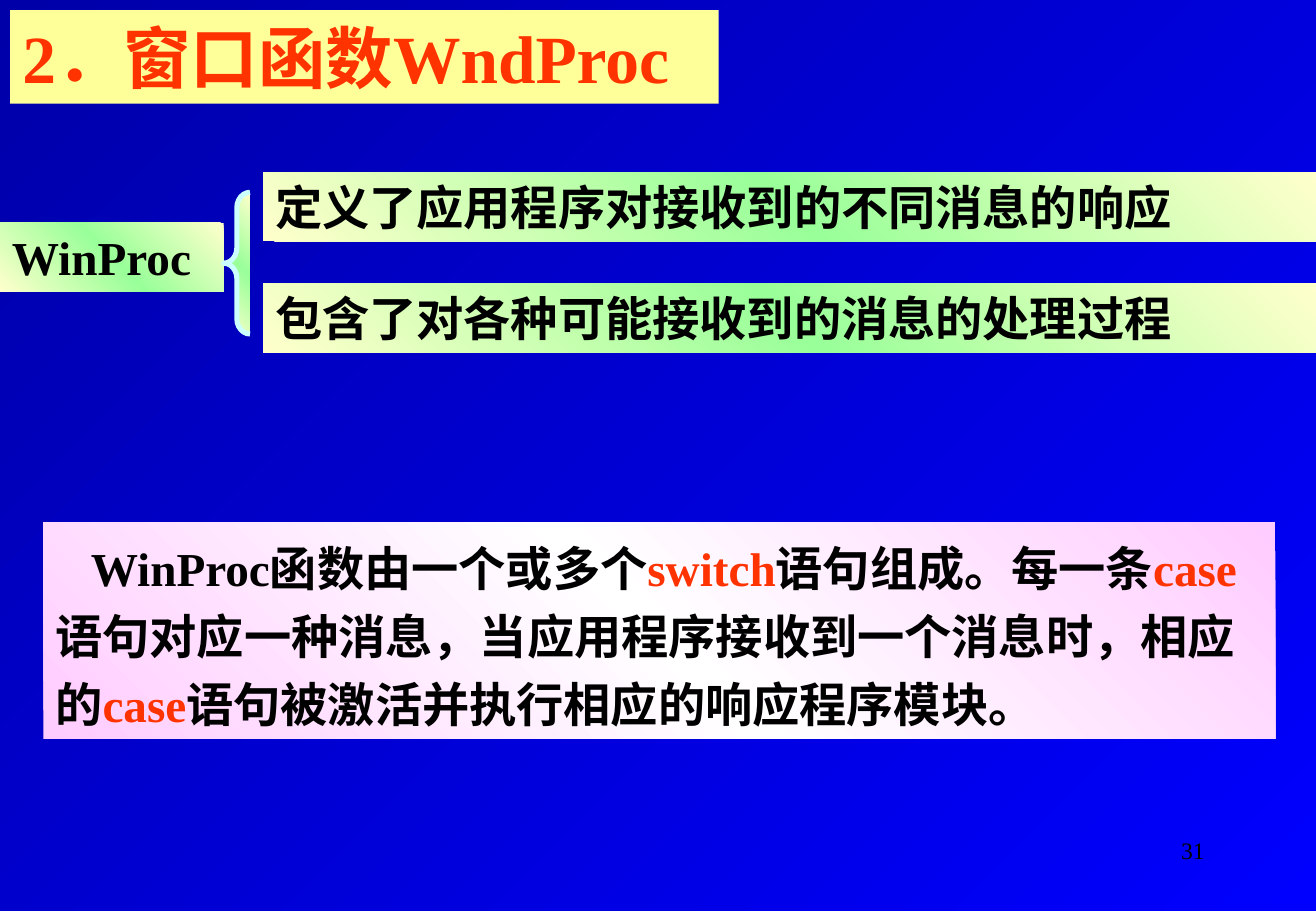
from copy import deepcopy
from dataclasses import dataclass

from pptx import Presentation
from pptx.dml.color import RGBColor
from pptx.dml.fill import FillFormat
from pptx.enum.shapes import MSO_SHAPE
from pptx.enum.text import MSO_ANCHOR, MSO_AUTO_SIZE, PP_ALIGN
from pptx.oxml.xmlchemy import BaseOxmlElement
from pptx.shapes.autoshape import Shape
from pptx.slide import Slide
from pptx.text.text import TextFrame
from pptx.util import Inches, Length, Pt

RECT, BRACE = MSO_SHAPE.RECTANGLE, MSO_SHAPE.LEFT_BRACE
TOP = MSO_ANCHOR.TOP
NO_FIT = MSO_AUTO_SIZE.NONE
LEFT, RIGHT = PP_ALIGN.LEFT, PP_ALIGN.RIGHT
COLUMNS, ROWS = 130, 90
TITLE_ONLY = 5


@dataclass(frozen=True)
class Theme:
    font: str = "Times New Roman"
    title_size: int = 40
    body_size: int = 28
    number_size: int = 14
    ink: str = "000000"
    accent: str = "FF3300"
    title_fill: str = "FFFF99"
    brace_line: str = "CCFFFF"
    backdrop: tuple[str, ...] = ("0000A9", "0000FF")
    green: tuple[str, ...] = ("FFFFCC", "99FF99", "FFFFCC")
    pink: tuple[str, ...] = ("FFCCFF", "FFFFFF", "FFCCFF")


@dataclass(frozen=True)
class Box:
    col: float
    row: float
    cols: float
    rows: float


@dataclass(frozen=True)
class Panel:
    box: Box
    colors: tuple[str, ...]
    runs: tuple[str, ...]
    spacing: float = 1.0
    indent: float = 0


THEME = Theme()
KEYWORDS = ("switch", "case")
TITLE_BOX = Box(1, 1, 70, 9.25)
BRACE_BOX = Box(22.1, 19, 2.6, 14)
NUMBER_BOX = Box(93.1, 82, 27.1, 6)
BAR_COL, BAR_ROW, BAR_STEP, BAR_ROWS = 26, 17, 11, 6.85
ROLES = ("定义了应用程序对接收到的不同消息的响应", "包含了对各种可能接收到的消息的处理过程")
SUMMARY = (
    "WinProc函数由一个或多个", "switch", "语句组成。每一条", "case",
    "语句对应一种消息，当应用程序接收到一个消息时，相应的", "case",
    "语句被激活并执行相应的响应程序模块。",
)
PANELS = [
    Panel(Box(4.3, 51.6, 121.7, 21.4), THEME.pink, SUMMARY, 1.2, 21),
    Panel(Box(0, 22, 22.1, BAR_ROWS), THEME.green, ("WinProc",)),
    *(
        Panel(Box(BAR_COL, BAR_ROW + i * BAR_STEP, COLUMNS - BAR_COL, BAR_ROWS), THEME.green, (role,))
        for i, role in enumerate(ROLES)
    ),
]


def cells(count: float) -> Length:
    return Inches(count / 12)


def frame(box: Box) -> tuple[Length, ...]:
    return cells(box.col), cells(box.row), cells(box.cols), cells(box.rows)


def paint(fill: FillFormat, owner: BaseOxmlElement, colors: tuple[str, ...], angle: float) -> None:
    fill.gradient()
    fill.gradient_angle = angle
    stops = owner.xpath(".//a:gsLst")[0]
    for _ in colors[2:]:
        stops.append(deepcopy(stops[0]))
    for i, (stop, color) in enumerate(zip(fill.gradient_stops, colors)):
        stop.position = i / (len(colors) - 1)
        stop.color.rgb = RGBColor.from_string(color)


def style(tf: TextFrame, size: int, color: str, bold: bool = True, align: PP_ALIGN = LEFT) -> None:
    tf.word_wrap = True
    tf.auto_size = NO_FIT
    tf.vertical_anchor = TOP
    for p in tf.paragraphs:
        p.alignment = align
        for r in p.runs:
            r.font.name = THEME.font
            r.font.size = Pt(size)
            r.font.bold = bold
            r.font.color.rgb = RGBColor.from_string(THEME.accent if r.text in KEYWORDS else color)


def add_filled(s: Slide, kind: MSO_SHAPE, box: Box, colors: tuple[str, ...]) -> Shape:
    sp = s.shapes.add_shape(kind, *frame(box))
    sp.shadow.inherit = False
    sp.line.fill.background()
    paint(sp.fill, sp._element, colors, 45)
    return sp


def add_title(s: Slide) -> None:
    sp = s.shapes.title
    sp.left, sp.top, sp.width, sp.height = frame(TITLE_BOX)
    sp.fill.solid()
    sp.fill.fore_color.rgb = RGBColor.from_string(THEME.title_fill)
    sp.text_frame.text = "2．窗口函数WndProc"
    style(sp.text_frame, THEME.title_size, THEME.accent)


def add_panel(s: Slide, panel: Panel) -> None:
    tf = add_filled(s, RECT, panel.box, panel.colors).text_frame
    p = tf.paragraphs[0]
    for text in panel.runs:
        p.add_run().text = text
    p.line_spacing = panel.spacing
    p._p.get_or_add_pPr().set("indent", str(Pt(panel.indent)))
    style(tf, THEME.body_size, THEME.ink)


def add_brace(s: Slide) -> None:
    sp = add_filled(s, BRACE, BRACE_BOX, THEME.green)
    sp.adjustments[0] = 0.58
    sp.line.color.rgb = RGBColor.from_string(THEME.brace_line)
    sp.line.width = Pt(3)


def add_number(s: Slide) -> None:
    tf = s.shapes.add_textbox(*frame(NUMBER_BOX)).text_frame
    tf.text = "31"
    style(tf, THEME.number_size, THEME.ink, bold=False, align=RIGHT)


def main() -> None:
    prs = Presentation()
    prs.slide_width, prs.slide_height = cells(COLUMNS), cells(ROWS)
    s = prs.slides.add_slide(prs.slide_layouts[TITLE_ONLY])
    paint(s.background.fill, s._element, THEME.backdrop, 315)
    add_title(s)
    for panel in PANELS:
        add_panel(s, panel)
    add_brace(s)
    add_number(s)
    prs.save("out.pptx")


if __name__ == "__main__":
    main()
